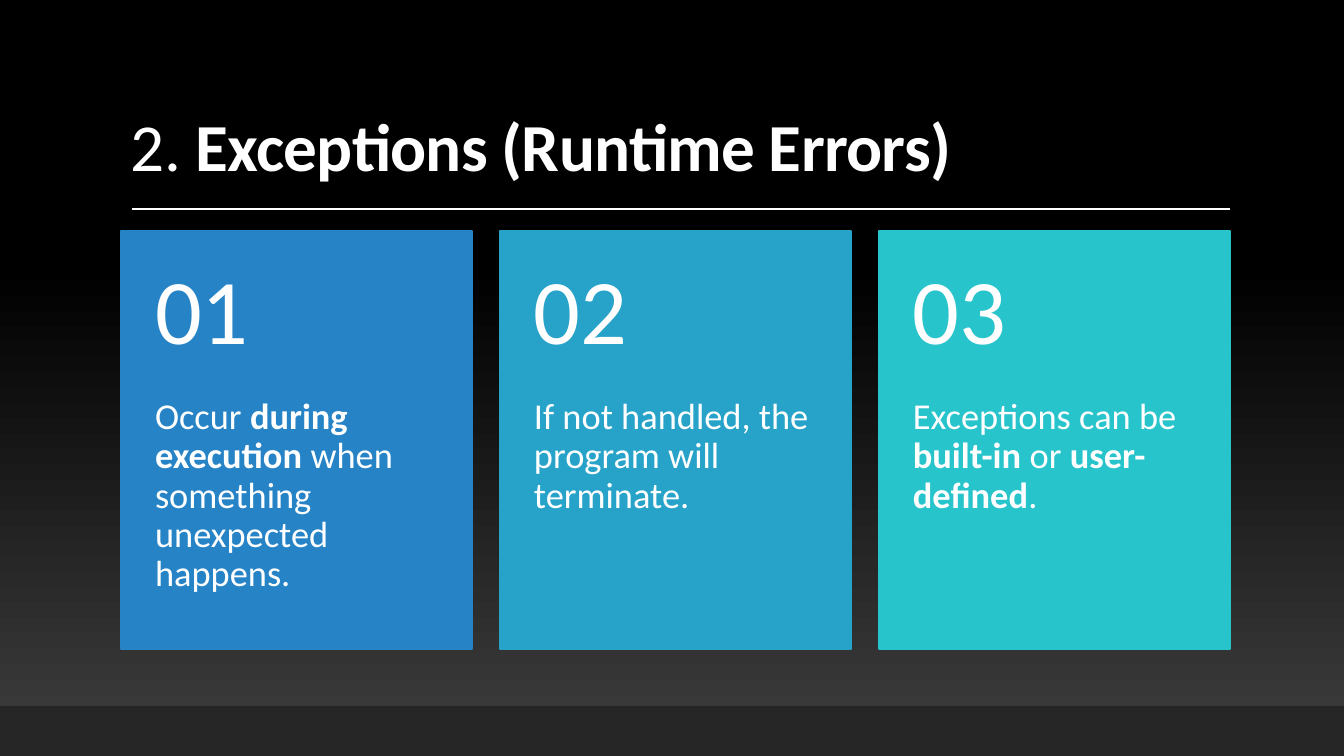
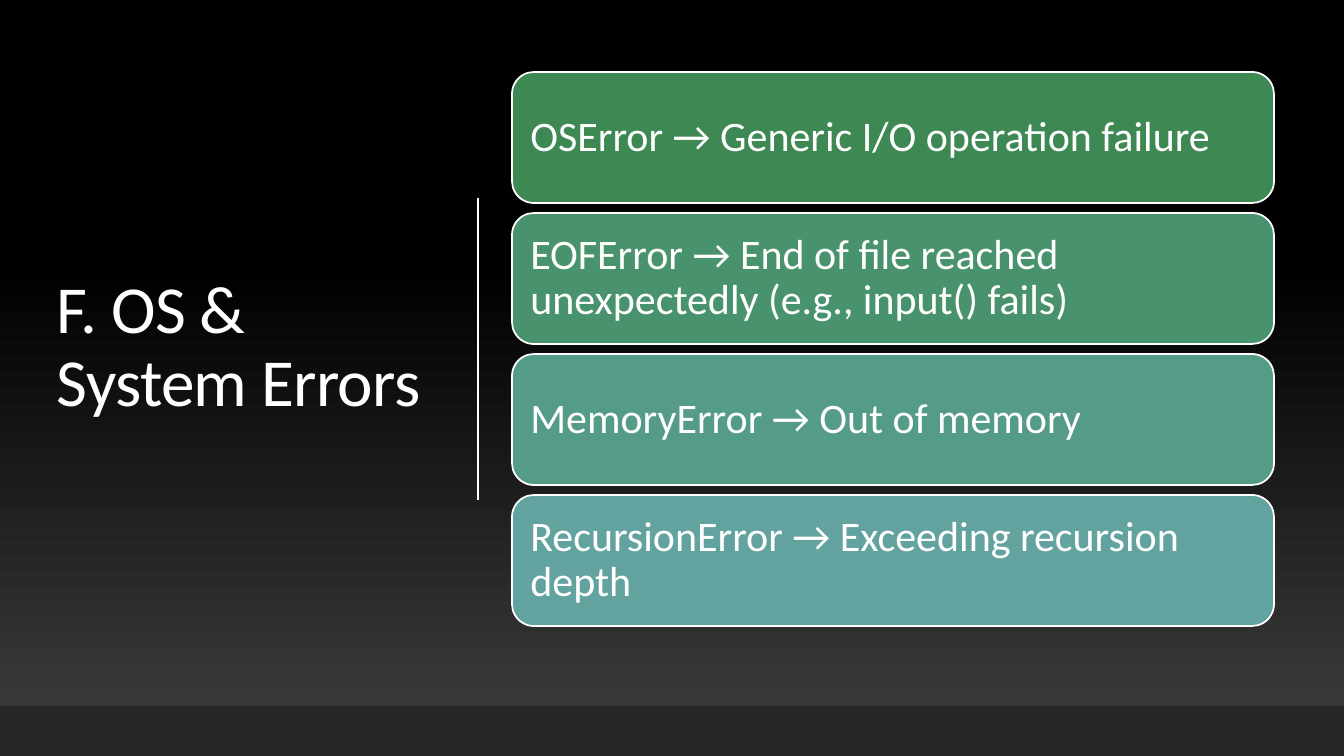
from lxml.etree import SubElement
from pptx import Presentation
from pptx.dml.color import RGBColor
from pptx.enum.shapes import MSO_CONNECTOR, MSO_SHAPE
from pptx.enum.text import MSO_ANCHOR, PP_ALIGN
from pptx.oxml.ns import qn
from pptx.util import Emu, Pt

WIDE, HIGH = 1344, 756
SCALE = 12192000 / WIDE
FONT = "Calibri"
WHITE = RGBColor(0xFF, 0xFF, 0xFF)
BLACK = RGBColor(0x00, 0x00, 0x00)
GREY = RGBColor(0x3F, 0x3F, 0x3F)
DARK = RGBColor(0x26, 0x26, 0x26)
BLUE = RGBColor(0x26, 0x83, 0xC6)
AZURE = RGBColor(0x27, 0xA3, 0xC9)
AQUA = RGBColor(0x28, 0xC4, 0xCC)
GREEN = RGBColor(0x3E, 0x88, 0x53)
JADE = RGBColor(0x49, 0x92, 0x6E)
TEAL = RGBColor(0x54, 0x9C, 0x88)
MIST = RGBColor(0x62, 0xA3, 0x9F)

CARDS = [
    (BLUE, [("Occur ", False), ("during execution", True),
            (" when something unexpected happens.", False)]),
    (AZURE, [("If not handled, the program will terminate.", False)]),
    (AQUA, [("Exceptions can be ", False), ("built-in", True), (" or ", False),
            ("user-defined", True), (".", False)]),
]
ROWS = [
    (GREEN, "OSError → Generic I/O operation failure"),
    (JADE, "EOFError → End of file reached unexpectedly (e.g., input() fails)"),
    (TEAL, "MemoryError → Out of memory"),
    (MIST, "RecursionError → Exceeding recursion depth"),
]


def px(*nums):
    """Turn px lengths into EMU."""
    return [Emu(round(num * SCALE)) for num in nums]


class Deck:
    """Hold the style and the current slide."""

    def __init__(self):
        """Start an empty wide deck."""
        self.prs = Presentation()
        self.prs.slide_width, self.prs.slide_height = px(WIDE, HIGH)

    def page(self):
        """Add a slide with the shared backdrop and bottom band."""
        self.slide = self.prs.slides.add_slide(self.prs.slide_layouts[6])
        fill = self.slide.background.fill
        fill.gradient()
        fill.gradient_angle = 90
        for stop, tint, place in zip(fill.gradient_stops, (GREY, BLACK), (0, 0.65)):
            stop.color.rgb = tint
            stop.position = place
        self.block((0, 706, WIDE, 50), DARK)

    def block(self, box, fill, edge=None, kind=MSO_SHAPE.RECTANGLE):
        """Add a filled shape, with an edge if a colour is given."""
        shape = self.slide.shapes.add_shape(kind, *px(*box))
        shape.shadow.inherit = False
        shape.fill.solid()
        shape.fill.fore_color.rgb = fill
        if edge is None:
            shape.line.fill.background()
        else:
            shape.line.color.rgb = edge
            shape.line.width = Pt(1.25)
        return shape

    def label(self, shape, runs, size, anchor, pad, space=0):
        """Set a shape's text from (text, bold) runs."""
        frame = shape.text_frame
        frame.word_wrap = True
        frame.vertical_anchor = anchor
        (frame.margin_left, frame.margin_top,
         frame.margin_right, frame.margin_bottom) = px(*pad)
        para = frame.paragraphs[0]
        para.alignment = PP_ALIGN.LEFT
        para.line_spacing = 0.9
        for text, bold in runs:
            run = para.add_run()
            run.text = text
            run.font.name = FONT
            run.font.size = Pt(size)
            run.font.bold = bold
            run.font.color.rgb = WHITE
            if space:
                run.font._element.set("spc", str(space))

    def text(self, box, runs, size, anchor, pad, space=0):
        """Add a text box."""
        shape = self.slide.shapes.add_textbox(*px(*box))
        self.label(shape, runs, size, anchor, pad, space)

    def title(self, box, runs, anchor):
        """Add a slide title."""
        self.text(box, runs, 48, anchor, (10, 5, 10, 5), -50)

    def rule(self, *ends):
        """Add a thin white line."""
        line = self.slide.shapes.add_connector(MSO_CONNECTOR.STRAIGHT, *px(*ends))
        line.line.color.rgb = WHITE
        line.line.width = Pt(1)
        SubElement(line._element.spPr, qn("a:effectLst"))

    def card(self, left, mark, fill, runs):
        """Add a card with a large number above its text."""
        top, wide, head, body = 231, 351, 167, 251
        self.block((left, top, wide, head + body), fill, fill)
        self.text((left, top + head, wide, body), runs, 26,
                  MSO_ANCHOR.TOP, (34, 0, 34, 36))
        self.text((left, top, wide, head), [(mark, False)], 66,
                  MSO_ANCHOR.MIDDLE, (34, 18, 34, 18))

    def row(self, top, fill, text):
        """Add a rounded row of text."""
        shape = self.block((512, top, 762, 131), fill, WHITE,
                           MSO_SHAPE.ROUNDED_RECTANGLE)
        self.label(shape, [(text, False)], 30, MSO_ANCHOR.MIDDLE, (12, 12, 12, 12))


def main():
    """Build and save both slides."""
    deck = Deck()

    deck.page()
    deck.title((121, 31, 1109, 160),
               [("2. ", False), ("Exceptions (Runtime Errors)", True)],
               MSO_ANCHOR.BOTTOM)
    deck.rule(132, 209, 1230, 209)
    for num, (fill, runs) in enumerate(CARDS):
        deck.card(121 + 379 * num, f"{num + 1:02}", fill, runs)

    deck.page()
    deck.title((47, 70, 395, 557), [("F. OS & System Errors", False)],
               MSO_ANCHOR.MIDDLE)
    deck.rule(478, 198, 478, 500)
    for num, (fill, text) in enumerate(ROWS):
        deck.row(72 + 141 * num, fill, text)

    deck.prs.save("out.pptx")


if __name__ == "__main__":
    main()
